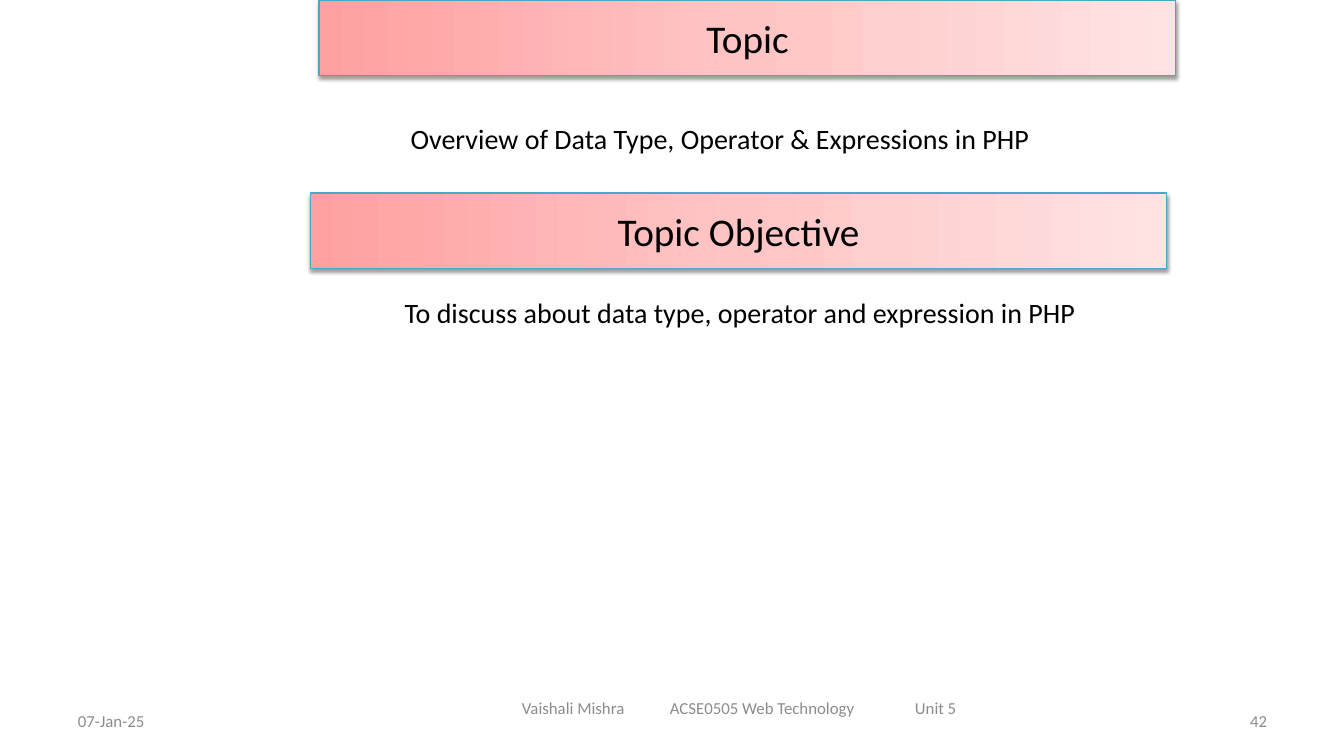
from copy import deepcopy
from dataclasses import dataclass

from lxml.etree import SubElement
from pptx import Presentation
from pptx.dml.color import RGBColor
from pptx.enum.shapes import MSO_SHAPE
from pptx.enum.text import MSO_ANCHOR, PP_ALIGN
from pptx.oxml.ns import qn
from pptx.util import Pt

EMU_PER_PX = 914400 / 100.8


@dataclass(frozen=True)
class Theme:
    font: str = "Calibri"
    ink: str = "000000"
    muted: str = "8C8C8C"
    border: str = "46AAC5"
    gradient: tuple = ((0, "FFA0A0"), (0.5, "FFC5C5"), (1, "FFE3E3"))
    heading: int = 28
    body: int = 20
    footer: int = 12


THEME = Theme()


def px(n):
    return round(n * EMU_PER_PX)


def write(tf, text, size, color, align, anchor=MSO_ANCHOR.MIDDLE, tabs=()):
    tf.word_wrap = True
    tf.vertical_anchor = anchor
    p = tf.paragraphs[0]
    p.text = text
    p.alignment = align
    if tabs:
        tab_list = SubElement(p._p.get_or_add_pPr(), qn("a:tabLst"))
        for pos in tabs:
            SubElement(tab_list, qn("a:tab"), pos=str(px(pos)), algn="l")
    for r in p.runs:
        r.font.name = THEME.font
        r.font.size = Pt(size)
        r.font.color.rgb = RGBColor.from_string(color)


def add_text(slide, box, *args, **kwargs):
    sp = slide.shapes.add_textbox(*map(px, box))
    write(sp.text_frame, *args, **kwargs)


def fill_gradient(sp):
    sp.fill.gradient()
    sp.fill.gradient_angle = 0
    stop_list = sp._element.spPr.find(qn("a:gradFill")).find(qn("a:gsLst"))
    stop_list.insert(1, deepcopy(stop_list[0]))
    for stop, (position, color) in zip(sp.fill.gradient_stops, THEME.gradient):
        stop.position = position
        stop.color.rgb = RGBColor.from_string(color)


def add_soft_shadow(sp):
    sp.shadow.inherit = False
    effects = sp._element.spPr.find(qn("a:effectLst"))
    shadow = SubElement(effects, qn("a:outerShdw"), blurRad=str(Pt(3.1)),
                        dist=str(Pt(1.6)), dir="5400000", rotWithShape="0")
    color = SubElement(shadow, qn("a:srgbClr"), val=THEME.ink)
    SubElement(color, qn("a:alpha"), val="38000")


def add_banner(slide, box, text):
    sp = slide.shapes.add_shape(MSO_SHAPE.RECTANGLE, *map(px, box))
    fill_gradient(sp)
    sp.line.color.rgb = RGBColor.from_string(THEME.border)
    sp.line.width = Pt(0.75)
    add_soft_shadow(sp)
    write(sp.text_frame, text, THEME.heading, THEME.ink, PP_ALIGN.CENTER)


def add_section(slide, box, heading, body, body_box):
    """Place a banner in the box and a body line relative to its corner."""
    x, y, w, h = box
    dx, dy, body_w, body_h = body_box
    add_banner(slide, box, heading)
    add_text(slide, (x + dx, y + dy, body_w, body_h), body, THEME.body,
             THEME.ink, PP_ALIGN.CENTER, MSO_ANCHOR.TOP)


def add_footer(slide, box):
    x, y, w, h = box
    side_w = 313
    style = THEME.footer, THEME.muted
    add_text(slide, (x, y, side_w, h), "07-Jan-25", *style, PP_ALIGN.LEFT)
    add_text(slide, (x + 444, y - 13, 460, h),
             "Vaishali Mishra\tACSE0505 Web Technology\tUnit 5",
             *style, PP_ALIGN.LEFT, tabs=(148, 393))
    add_text(slide, (x + w - side_w, y, side_w, h), "42", *style, PP_ALIGN.RIGHT)


def main():
    prs = Presentation()
    prs.slide_width, prs.slide_height = px(1344), px(756)
    slide = prs.slides.add_slide(prs.slide_layouts[6])

    # Topic and its objective
    add_section(slide, (319, 0, 857, 76), "Topic",
                "Overview of Data Type, Operator & Expressions in PHP",
                (-99, 117, 1000, 45))
    add_section(slide, (310, 193, 857, 76), "Topic Objective",
                "To discuss about data type, operator and expression in PHP",
                (-154, 98, 1168, 314))

    # Date, course and page number
    add_footer(slide, (68, 701, 1209, 40))

    prs.save("out.pptx")


if __name__ == "__main__":
    main()
